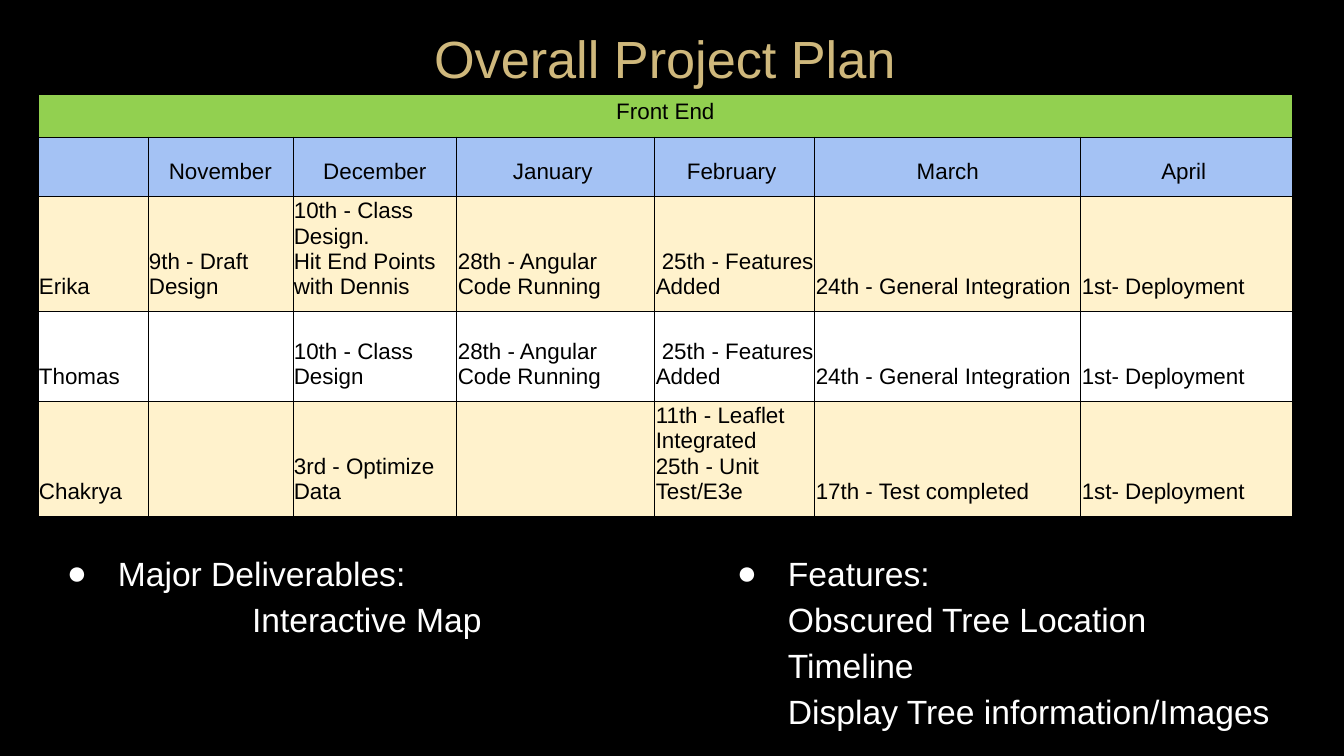
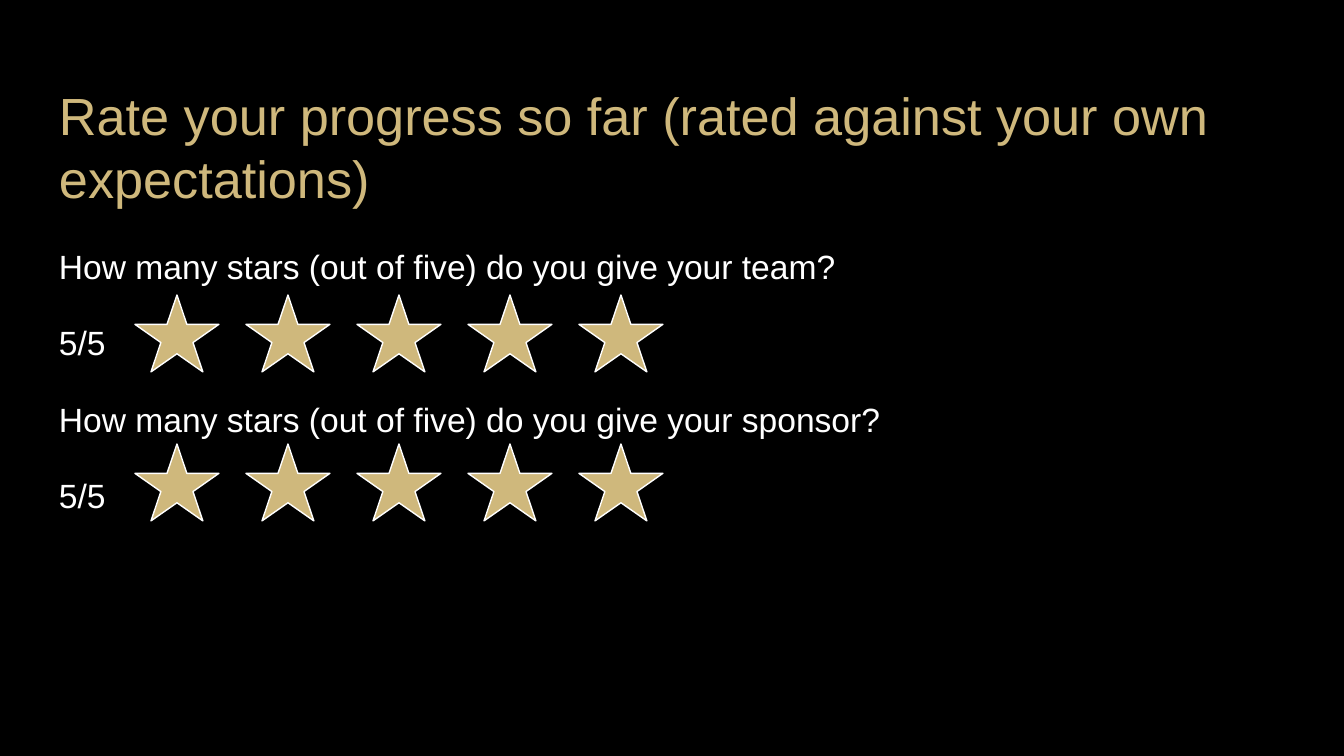
from lxml.etree import SubElement
from pptx import Presentation
from pptx.dml.color import RGBColor
from pptx.enum.shapes import MSO_SHAPE
from pptx.enum.text import MSO_ANCHOR, MSO_AUTO_SIZE, PP_ALIGN
from pptx.oxml import parse_xml
from pptx.oxml.ns import nsdecls, qn
from pptx.util import Emu, Pt

EMU_PER_PX = 914400 / 134.4
FONT = "Arial"
COLORS = {
    "black": "000000",
    "white": "FFFFFF",
    "gold": "CFB87C",
    "green": "92D050",
    "blue": "A4C2F4",
    "cream": "FFF2CC",
}
TEXT_INSET = 13
CELL_INSET = 1
LIST_INDENT = 67
BULLET_HANG = -51

MONTHS = ["", "November", "December", "January ", "February ", "March", "April "]
COLUMN_WIDTHS = [110, 145, 164, 198, 160, 266, 212]
ROW_HEIGHTS = [43, 60, 115, 90, 115]
ROW_FILLS = ["green", "blue", "cream", "white", "cream"]
FEATURES_ADDED = "25th - Features Added"
TEAM_PLAN = [
    ["Erika", "9th - Draft Design", "10th - Class Design.\nHit End Points with Dennis",
     "28th - Angular Code Running", FEATURES_ADDED, "24th - General Integration",
     "1st- Deployment"],
    ["Thomas", "", "10th - Class Design", "28th - Angular Code Running",
     FEATURES_ADDED, "24th - General Integration", "1st- Deployment"],
    ["Chakrya", "", "3rd - Optimize Data", "",
     "11th - Leaflet Integrated\n25th - Unit Test/E3e", "17th - Test completed",
     "1st- Deployment"],
]


def px(length):
    return Emu(round(length * EMU_PER_PX))


def rgb(name):
    return RGBColor.from_string(COLORS[name])


def style_font(para, size, color):
    para.font.name = FONT
    para.font.size = Pt(size)
    para.font.color.rgb = rgb(color)


def place(shape, left, top, width, height):
    shape.left, shape.top = px(left), px(top)
    shape.width, shape.height = px(width), px(height)


def set_insets(target, inset):
    target.margin_left = target.margin_right = px(inset)
    target.margin_top = target.margin_bottom = px(inset)


def set_indent(para, left, first_line=0, bullet=None):
    properties = para._p.get_or_add_pPr()
    properties.set("marL", str(px(left)))
    properties.set("indent", str(px(first_line)))
    if bullet:
        color = SubElement(properties, qn("a:buClr"))
        SubElement(color, qn("a:srgbClr")).set("val", COLORS["white"])
        SubElement(properties, qn("a:buChar")).set("char", bullet)
    else:
        SubElement(properties, qn("a:buNone"))


def prepare_frame(shape, bounds, anchor):
    place(shape, *bounds)
    frame = shape.text_frame
    frame.word_wrap = True
    frame.auto_size = MSO_AUTO_SIZE.NONE
    frame.vertical_anchor = anchor
    set_insets(frame, TEXT_INSET)
    return frame


def fill_title(page, text, bounds, align, anchor=MSO_ANCHOR.MIDDLE):
    frame = prepare_frame(page.shapes.title, bounds, anchor)
    frame.text = text
    para = frame.paragraphs[0]
    para.alignment = align
    style_font(para, 28, "gold")
    return frame


def add_lines(frame, lines):
    """Yield each new body paragraph with its position."""
    frame.text = "\n".join(lines)
    for index, para in enumerate(frame.paragraphs):
        para.space_before = para.space_after = Pt(0)
        yield index, para


def fill_list(shape, bounds, heading, items, item_indent=LIST_INDENT):
    frame = prepare_frame(shape, bounds, MSO_ANCHOR.TOP)
    for index, para in add_lines(frame, [heading, *items]):
        if index == 0:
            set_indent(para, LIST_INDENT, BULLET_HANG, "●")
        else:
            para.space_before = Pt(3)
            set_indent(para, item_indent)
        style_font(para, 18, "white")


def fill_questions(shape, bounds, lines):
    frame = prepare_frame(shape, bounds, MSO_ANCHOR.TOP)
    for index, para in add_lines(frame, lines):
        para.line_spacing = 1.15
        if index:
            para.space_before = Pt(16)
        set_indent(para, 0)
        style_font(para, 18, "white")


def add_borders(cell):
    properties = cell._tc.get_or_add_tcPr()
    for position, side in enumerate(("lnL", "lnR", "lnT", "lnB")):
        properties.insert(position, parse_xml(
            f'<a:{side} {nsdecls("a")} w="{Pt(0.5)}"><a:solidFill>'
            f'<a:srgbClr val="{COLORS["black"]}"/></a:solidFill></a:{side}>'))


def fill_cell(cell, text, fill, align, anchor):
    set_insets(cell, CELL_INSET)
    cell.margin_bottom = px(TEXT_INSET)
    cell.vertical_anchor = anchor
    cell.fill.solid()
    cell.fill.fore_color.rgb = rgb(fill)
    add_borders(cell)
    cell.text = text
    for para in cell.text_frame.paragraphs:
        para.alignment = align
        if text == FEATURES_ADDED:
            set_indent(para, 0, 6)
        style_font(para, 12, "black")


def add_plan_table(page, left, top):
    rows = [["Front End"] + [""] * (len(MONTHS) - 1), MONTHS, *TEAM_PLAN]
    table = page.shapes.add_table(
        len(rows), len(MONTHS), px(left), px(top),
        px(sum(COLUMN_WIDTHS)), px(sum(ROW_HEIGHTS))).table
    table.first_row = table.horz_banding = False
    for column, width in zip(table.columns, COLUMN_WIDTHS):
        column.width = px(width)
    for row_index, texts in enumerate(rows):
        table.rows[row_index].height = px(ROW_HEIGHTS[row_index])
        align = PP_ALIGN.CENTER if row_index < 2 else PP_ALIGN.LEFT
        anchor = MSO_ANCHOR.BOTTOM if row_index else MSO_ANCHOR.MIDDLE
        for column_index, text in enumerate(texts):
            fill_cell(table.cell(row_index, column_index), text,
                      ROW_FILLS[row_index], align, anchor)
    heading = table.cell(0, 0)
    heading.merge(table.cell(0, len(MONTHS) - 1))
    heading.text_frame.paragraphs[0].line_spacing = 1.15


def add_star_row(page, top, count=5):
    for index in range(count):
        star = page.shapes.add_shape(
            MSO_SHAPE.STAR_5_POINT, px(135 + 111 * index), px(top), px(84), px(77))
        star.shadow.inherit = False
        star.fill.solid()
        star.fill.fore_color.rgb = rgb("gold")
        star.line.color.rgb = rgb("white")
        star.line.width = Pt(0.75)


def build_plan_page(deck):
    page = deck.slides.add_slide(deck.slide_layouts[3])
    title = fill_title(page, "Overall Project Plan ", (46, 9, 1252, 85),
                       PP_ALIGN.CENTER, MSO_ANCHOR.BOTTOM)
    title.margin_bottom = px(5)
    fill_list(page.placeholders[1], (38, 540, 511, 160),
              "Major Deliverables:", ["Interactive Map"], 3 * LIST_INDENT)
    add_plan_table(page, 38, 94)
    fill_list(page.placeholders[2], (708, 540, 636, 211), "Features:",
              ["Obscured Tree Location", "Timeline", "Display Tree information/Images"])


def build_rating_page(deck):
    page = deck.slides.add_slide(deck.slide_layouts[1])
    fill_title(page, "Rate your progress so far (rated against your own expectations)",
               (46, 66, 1252, 161), PP_ALIGN.LEFT)
    lines = []
    for group in ("team", "sponsor"):
        lines += [f"How many stars (out of five) do you give your {group}?", "5/5"]
    fill_questions(page.placeholders[1], (46, 227, 1252, 445), lines)
    for top in (295, 444):
        add_star_row(page, top)


def main():
    deck = Presentation()
    deck.slide_width, deck.slide_height = px(1344), px(756)
    background = deck.slide_master.background.fill
    background.solid()
    background.fore_color.rgb = rgb("black")
    build_plan_page(deck)
    build_rating_page(deck)
    deck.save("out.pptx")


if __name__ == "__main__":
    main()
